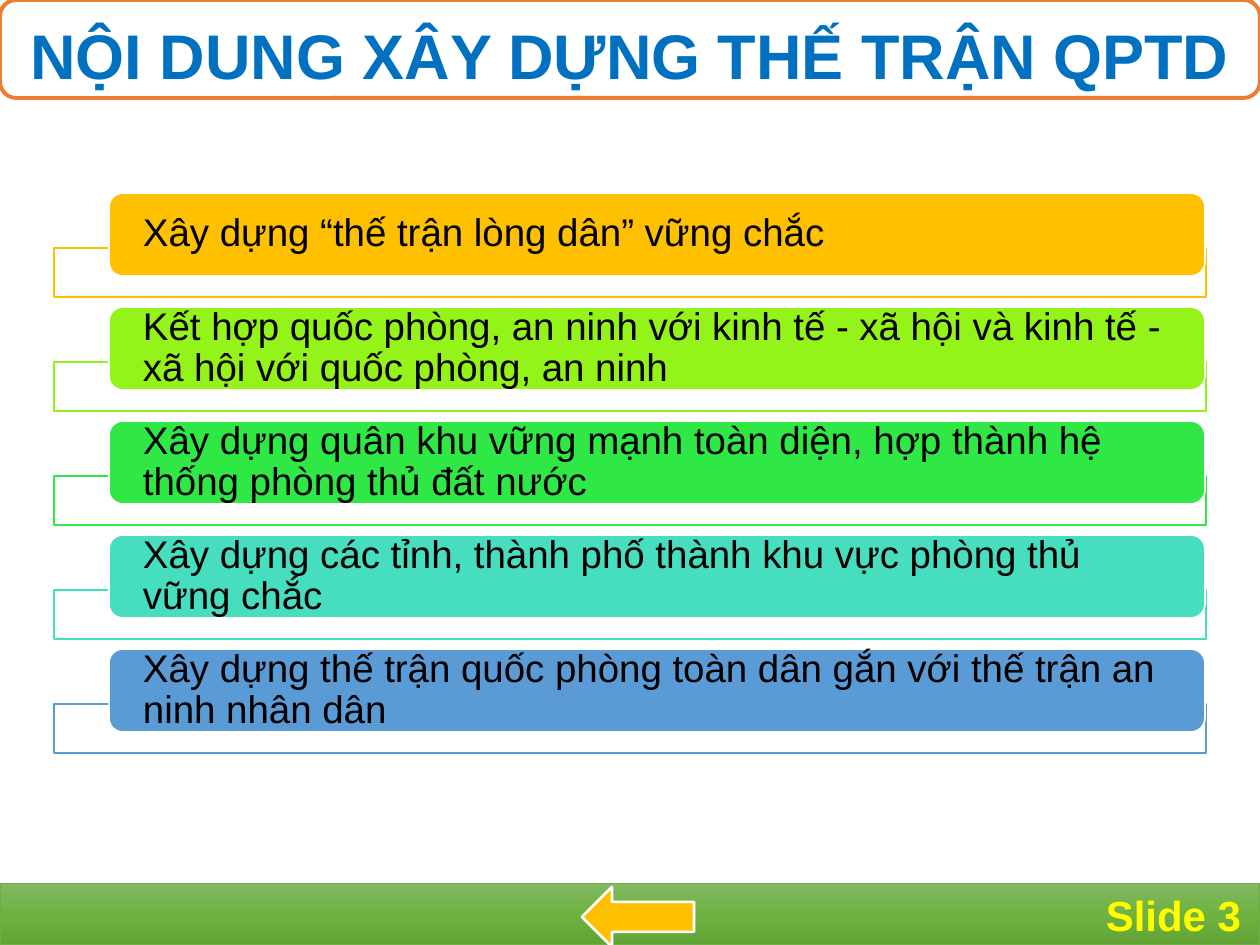
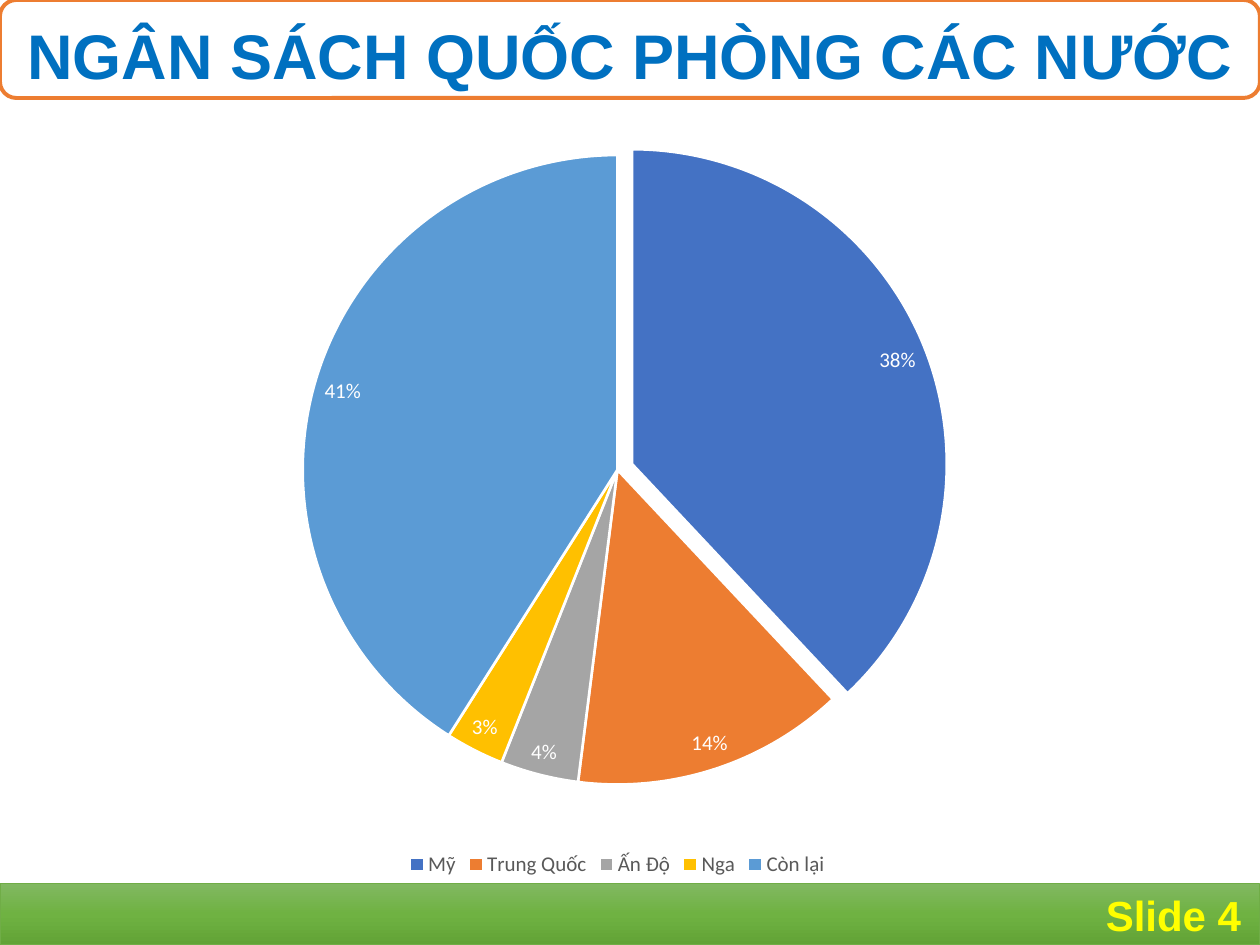
from copy import deepcopy
from lxml.etree import SubElement
from pptx import Presentation
from pptx.chart.data import CategoryChartData
from pptx.dml.color import RGBColor
from pptx.enum.chart import XL_CHART_TYPE, XL_LABEL_POSITION, XL_LEGEND_POSITION
from pptx.enum.shapes import MSO_SHAPE
from pptx.enum.text import MSO_ANCHOR, MSO_AUTO_SIZE, PP_ALIGN
from pptx.oxml import parse_xml
from pptx.oxml.ns import nsdecls, qn
from pptx.util import Inches, Pt

PX = 7257  # EMU in one px, 126 px to the inch
BLUE, ORANGE, GOLD, WHITE = "0070C0", "ED7D31", "FFC000", "FFFFFF"
BAND = [(0, "81B861"), (0.5, "6FB242"), (1, "62A336")]
tint = RGBColor.from_string


def draw(slide, kind, at, fill, line, weight):
    shape = slide.shapes.add_shape(kind, *[n * PX for n in at])
    shape.shadow.inherit = False
    if fill:
        shape.fill.solid()
        shape.fill.fore_color.rgb = tint(fill)
    else:
        shape.fill.background()
    shape.line.color.rgb = tint(line)
    shape.line.width = Pt(weight)
    return shape


def write(frame, text, size, color, align, bold=False, edge=None):
    par = frame.paragraphs[0]
    par.alignment = align
    run = par.add_run()
    run.text = text
    font = run.font
    font.name, font.size, font.bold = "Arial", Pt(size), bold
    font.color.rgb = tint(color)
    if edge:
        hue, width = edge
        run._r.get_or_add_rPr().insert(0, parse_xml(
            f'<a:ln {nsdecls("a")} w="{Pt(width)}"><a:solidFill>'
            f'<a:srgbClr val="{hue}"/></a:solidFill></a:ln>'))
    return par


deck = Presentation()
deck.slide_width, deck.slide_height = Inches(10), Inches(7.5)

# Shared frame: title, footer band, title border, slide number
titles = ["NỘI DUNG XÂY DỰNG THẾ TRẬN QPTD", "NGÂN SÁCH QUỐC PHÒNG CÁC NƯỚC"]
slides = []
for num, text in enumerate(titles, 3):
    slide = deck.slides.add_slide(deck.slide_layouts[5])
    slides.append(slide)

    title = slide.shapes.title
    title.left, title.top, title.width, title.height = 0, 0, 1260 * PX, 99 * PX
    frame = title.text_frame
    frame.auto_size = MSO_AUTO_SIZE.NONE
    frame.vertical_anchor = MSO_ANCHOR.BOTTOM
    par = write(frame, text, 36, BLUE, PP_ALIGN.CENTER, True, (ORANGE, 0.52))
    par.line_spacing = 0.9

    band = draw(slide, MSO_SHAPE.RECTANGLE, (0, 884, 1260, 61), None, "70AD47", 0.5)
    band.fill.gradient()
    band.fill.gradient_angle = 270
    stops = band._element.spPr.find(qn("a:gradFill")).find(qn("a:gsLst"))
    stops.insert(1, deepcopy(stops[0]))
    for stop, (pos, color) in zip(band.fill.gradient_stops, BAND):
        stop.position = pos
        stop.color.rgb = tint(color)

    draw(slide, MSO_SHAPE.ROUNDED_RECTANGLE, (0, 0, 1260, 98), None, ORANGE, 2.25)

    label = slide.shapes.add_textbox(1092 * PX, 883 * PX, 163 * PX, 63 * PX)
    label.text_frame.word_wrap = False
    label.text_frame.auto_size = MSO_AUTO_SIZE.SHAPE_TO_FIT_TEXT
    write(label.text_frame, f"Slide {num}", 24, "FFFF00", PP_ALIGN.CENTER,
          True, (GOLD, 1))

# First slide: back arrow and list of tasks
first, second = slides
draw(first, MSO_SHAPE.LEFT_ARROW, (582, 887, 112, 60), GOLD, WHITE, 1.5)

tasks = [
    ("Xây dựng “thế trận lòng dân” vững chắc", GOLD),
    ("Kết hợp quốc phòng, an ninh với kinh tế - xã hội và kinh tế - xã hội "
     "với quốc phòng, an ninh", "94F319"),
    ("Xây dựng quân khu vững mạnh toàn diện, hợp thành hệ thống phòng thủ "
     "đất nước", "30E845"),
    ("Xây dựng các tỉnh, thành phố thành khu vực phòng thủ vững chắc", "46DEBF"),
    ("Xây dựng thế trận quốc phòng toàn dân gắn với thế trận an ninh nhân dân",
     "5B9BD5"),
]
for row, (text, color) in enumerate(tasks):
    top = 193 + 114 * row
    tray = draw(first, MSO_SHAPE.RECTANGLE, (54, top + 55, 1152, 49), WHITE, color, 1)
    clear = tray._element.spPr.find(qn("a:solidFill"))[0]
    SubElement(clear, qn("a:alpha")).set("val", "90000")

    pill = draw(first, MSO_SHAPE.ROUNDED_RECTANGLE, (109, top, 1096, 83),
                color, WHITE, 1)
    frame = pill.text_frame
    frame.word_wrap = True
    frame.vertical_anchor = MSO_ANCHOR.MIDDLE
    frame.margin_left = frame.margin_right = 30 * PX
    frame.margin_top = frame.margin_bottom = 0
    write(frame, text, 22, "000000", PP_ALIGN.LEFT).line_spacing = 0.9

# Second slide: budget pie
shares = [("Mỹ", 0.38, "4472C4"), ("Trung Quốc", 0.14, ORANGE),
          ("Ấn Độ", 0.04, "A5A5A5"), ("Nga", 0.03, GOLD),
          ("Còn lại", 0.41, "5B9BD5")]
data = CategoryChartData(number_format="0%")
data.categories = [name for name, _, _ in shares]
data.add_series("Series 1", [part for _, part, _ in shares])
chart = second.shapes.add_chart(
    XL_CHART_TYPE.PIE, 48 * PX, 122 * PX, 1139 * PX, 760 * PX, data).chart
chart.has_title = False
chart.font.name, chart.font.size = "Calibri", Pt(10)

chart.has_legend = True
legend = chart.legend
legend.position = XL_LEGEND_POSITION.BOTTOM
legend.include_in_layout = False
legend.font.name, legend.font.size = "Calibri", Pt(12)
legend.font.color.rgb = tint("595959")

plot = chart.plots[0]
plot.vary_by_categories = True
pie = plot.series[0]
for spot, (_, _, color) in enumerate(shares):
    form = pie.points[spot].format
    form.fill.solid()
    form.fill.fore_color.rgb = tint(color)
    form.line.color.rgb = tint(WHITE)
    form.line.width = Pt(1.5)

# Pull the first slice out
slice_ = pie._element.find(qn("c:dPt"))
slice_.insert(1, parse_xml(f'<c:explosion {nsdecls("c")} val="5"/>'))

plot.has_data_labels = True
tags = plot.data_labels
tags.show_value = True
tags.show_percentage = False
tags.number_format, tags.number_format_is_linked = "0%", False
tags.position = XL_LABEL_POSITION.BEST_FIT
tags.font.name, tags.font.size = "Calibri", Pt(12)
tags.font.color.rgb = tint(WHITE)

deck.save("out.pptx")
